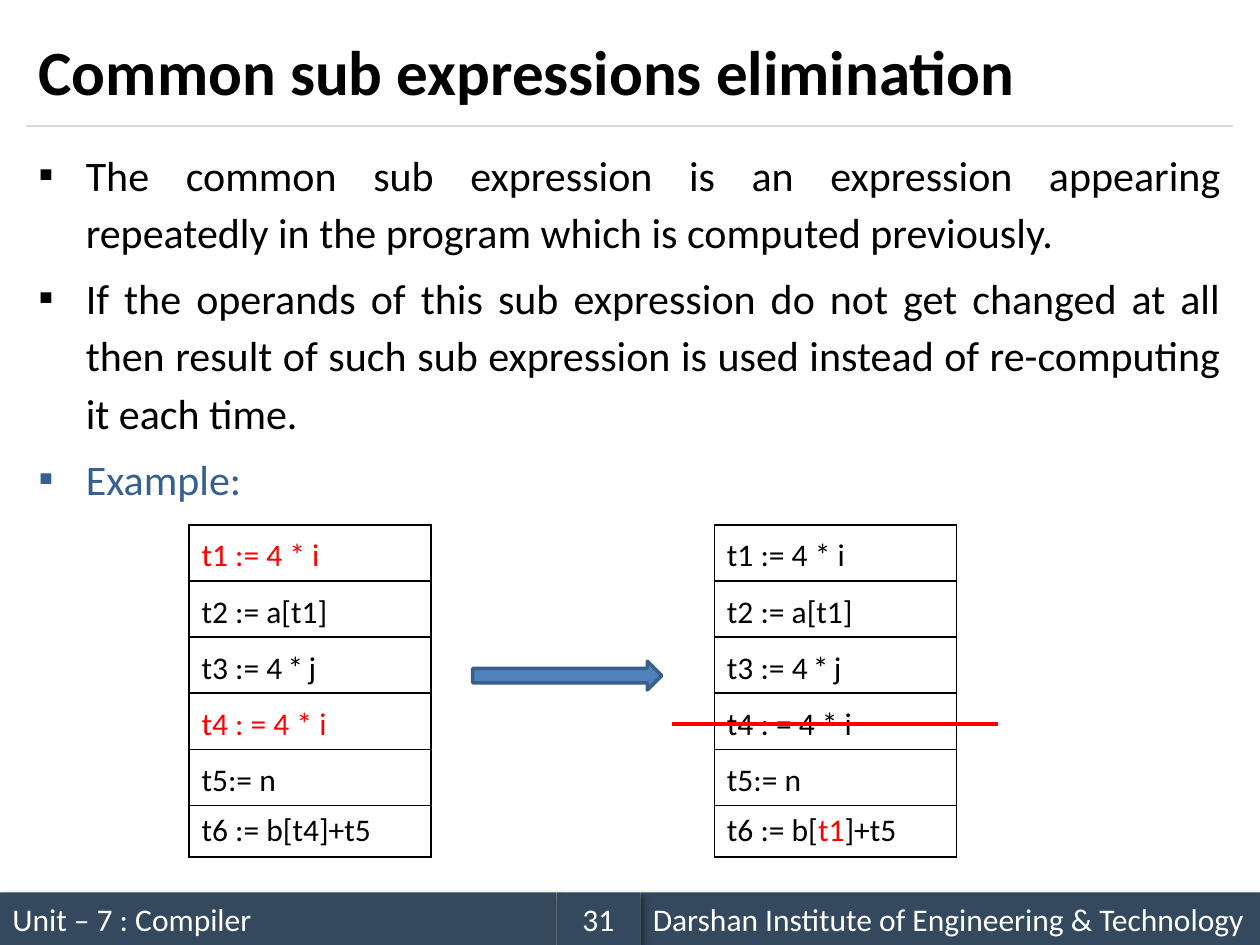
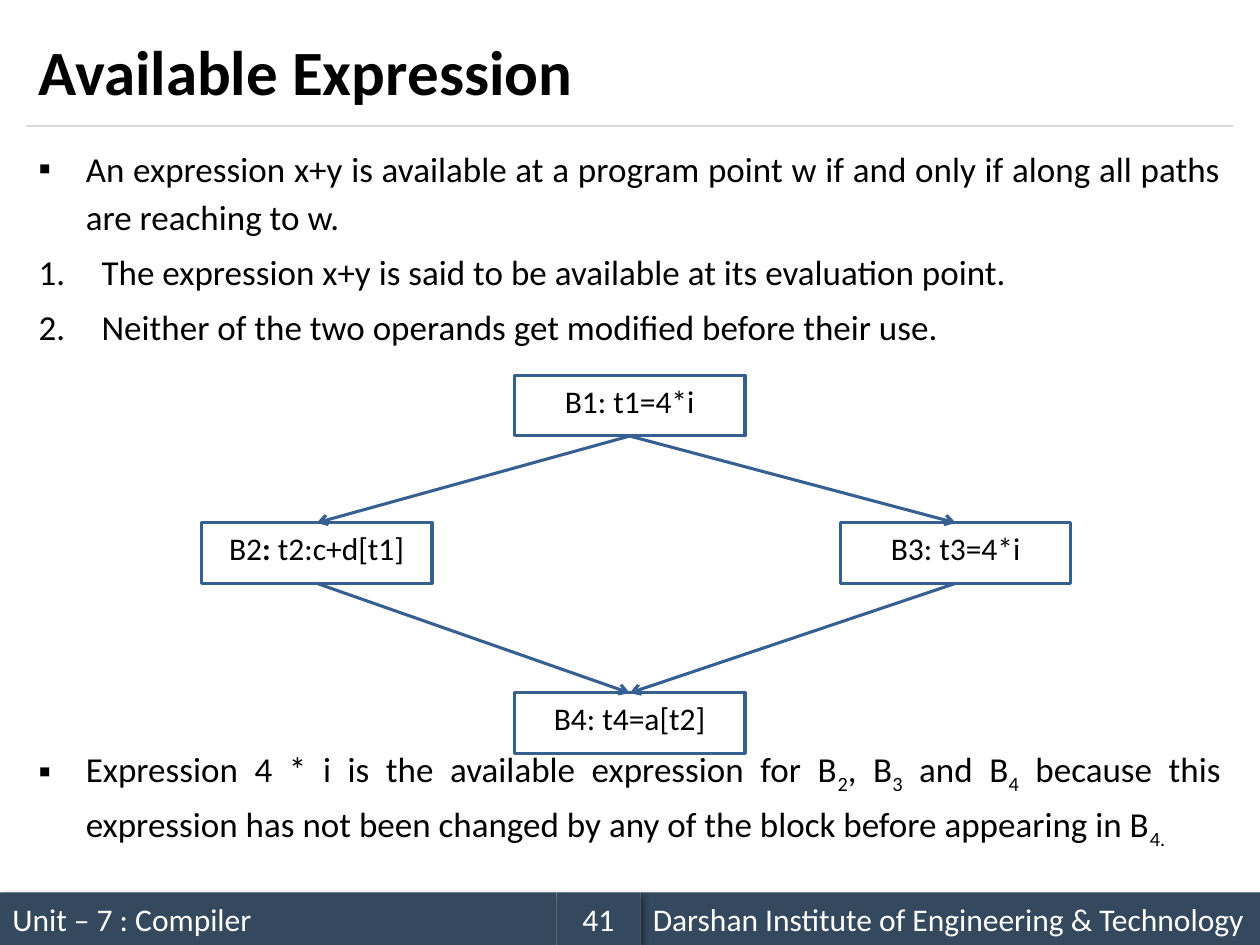
from dataclasses import dataclass

from lxml.etree import SubElement as Sub
from pptx import Presentation
from pptx.dml.color import RGBColor as Rgb
from pptx.enum.shapes import MSO_CONNECTOR as Link, MSO_SHAPE as Form
from pptx.enum.text import MSO_ANCHOR as Anchor, PP_ALIGN as Align
from pptx.oxml.ns import qn
from pptx.util import Cm, Pt


@dataclass(frozen=True)
class Theme:
    face: str = "Calibri"
    ink: str = "000000"
    white: str = "FFFFFF"
    band: str = "34495E"
    rule: str = "D9D9D9"
    blue: str = "376092"
    fill: str = "4F81BD"
    edge: str = "3A5F8C"
    red: str = "FF0000"
    head: int = 36
    large: int = 24
    mid: int = 20
    small: int = 18
    lead: float = 1.14


T = Theme()
LEFT, WIDE = 0.53, 24.33
BOX_W, BOX_H = 4.65, 1.22


def area(x, y, w, h):
    return [Cm(n) for n in (x, y, w, h)]


def mark(run, kind):
    props = run._r.get_or_add_rPr()
    if kind == "sub":
        props.set("baseline", "-25000")
    elif kind == "wide":
        props.set("spc", "300")
    elif kind == "bold":
        run.font.bold = True
    elif kind == "red":
        run.font.color.rgb = Rgb.from_string(T.red)


def write(para, text, size, color=T.ink, align=Align.LEFT, bold=False):
    parts = [(text, "")] if isinstance(text, str) else text
    para.alignment = align
    para.text = parts[0][0]
    for words, _ in parts[1:]:
        para.add_run().text = words
    for run, (_, kind) in zip(para.runs, parts):
        font = run.font
        font.name, font.size, font.bold = T.face, Pt(size), bold
        font.color.rgb = Rgb.from_string(color)
        mark(run, kind)


def add_text(slide, place, anchor=Anchor.TOP):
    frame = slide.shapes.add_textbox(*area(*place)).text_frame
    frame.word_wrap = True
    frame.vertical_anchor = anchor
    return frame


def bullet(para, kind):
    props = para._p.get_or_add_pPr()
    dent = Cm(1.27 if kind == "num" else 0.95)
    props.set("marL", str(dent))
    props.set("indent", str(-dent))
    if kind == "num":
        Sub(props, qn("a:buFont"), typeface=T.face)
        Sub(props, qn("a:buAutoNum"), type="arabicPeriod")
    else:
        Sub(props, qn("a:buFont"), typeface=T.face)
        Sub(props, qn("a:buChar"), char="▪")


def add_list(slide, top, height, size, items):
    frame = add_text(slide, (LEFT, top, WIDE, height))
    for i, (kind, text, color) in enumerate(items):
        para = frame.add_paragraph() if i else frame.paragraphs[0]
        bullet(para, kind)
        write(para, text, size, color, Align.JUSTIFY)
        para.line_spacing = T.lead
        if i:
            para.space_before = Pt(size * 0.2)


def add_form(slide, form, place, fill, edge=None, thick=1.75):
    shape = slide.shapes.add_shape(form, *area(*place))
    shape.shadow.inherit = False
    shape.fill.solid()
    shape.fill.fore_color.rgb = Rgb.from_string(fill)
    if edge:
        shape.line.color.rgb = Rgb.from_string(edge)
        shape.line.width = Pt(thick)
    else:
        shape.line.fill.background()
    return shape


def add_line(slide, start, end, color, thick):
    line = slide.shapes.add_connector(
        Link.STRAIGHT, *[Cm(n) for n in (*start, *end)])
    line.line.color.rgb = Rgb.from_string(color)
    line.line.width = Pt(thick)
    Sub(line._element.spPr, qn("a:effectLst"))
    return line


def add_arrow(slide, source, goal):
    line = add_line(slide, (0, 0), (1, 1), T.blue, 1.75)
    line.begin_connect(source, 2)
    line.end_connect(goal, 0)
    Sub(line.line._get_or_add_ln(), qn("a:tailEnd"), type="arrow")


def add_node(slide, x, y, text):
    node = add_form(slide, Form.RECTANGLE, (x, y, BOX_W, BOX_H),
                    T.white, T.blue)
    frame = node.text_frame
    frame.vertical_anchor = Anchor.TOP
    write(frame.paragraphs[0], text, T.small, align=Align.CENTER)
    return node


def add_band(slide, x, width, text, align=Align.LEFT):
    band = add_form(slide, Form.RECTANGLE, (x, 17.99, width, 1.06), T.band)
    glow = Sub(band._element.spPr.find(qn("a:effectLst")),
               qn("a:outerShdw"), blurRad=str(Pt(4)), dist=str(Pt(3)),
               dir="2700000", algn="tl", rotWithShape="0")
    tint = Sub(glow, qn("a:srgbClr"), val=T.ink)
    Sub(tint, qn("a:alpha"), val="40000")
    frame = band.text_frame
    frame.vertical_anchor = Anchor.MIDDLE
    write(frame.paragraphs[0], text, T.small, T.white, align)


def add_slide(deck, title, number):
    slide = deck.slides.add_slide(deck.slide_layouts[6])
    add_band(slide, 0, 11.22, "Unit – 7 : Compiler")
    add_line(slide, (LEFT, 2.54), (LEFT + WIDE, 2.54), T.rule, 0.75)
    add_band(slide, 12.91, 12.49,
             "Darshan Institute of Engineering & Technology")
    add_band(slide, 11.22, 1.69, str(number), Align.CENTER)
    frame = add_text(slide, (LEFT, 0.3, WIDE, 2.24), Anchor.MIDDLE)
    write(frame.paragraphs[0], title, T.head, bold=True)
    return slide


def frame_cell(cell):
    props = cell._tc.get_or_add_tcPr()
    for side in ("lnL", "lnR", "lnT", "lnB"):
        line = Sub(props, qn(f"a:{side}"), w=str(Pt(1)))
        Sub(Sub(line, qn("a:solidFill")), qn("a:srgbClr"), val=T.ink)
    cell.fill.background()


def add_code(slide, x, rows):
    row_h = 1.04
    place = area(x, 10.58, 4.88, row_h * len(rows))
    table = slide.shapes.add_table(len(rows), 1, *place).table
    table.first_row = table.horz_banding = False
    for i, text in enumerate(rows):
        table.rows[i].height = Cm(row_h)
        cell = table.cell(i, 0)
        frame_cell(cell)
        para = cell.text_frame.paragraphs[0]
        last = i == len(rows) - 1
        write(para, text, T.small, align=Align.LEFT if last else Align.JUSTIFY)
        if not last:
            para.line_spacing = 1.15
            para.space_after = Pt(10)


def draw_common(deck):
    slide = add_slide(deck, "Common sub expressions elimination", 31)
    add_list(slide, 2.74, 14.81, T.large, [
        ("dot", "The common sub expression is an expression appearing "
         "repeatedly in the program which is computed previously.", T.ink),
        ("dot", "If the operands of this sub expression do not get changed "
         "at all then result of such sub expression is used instead of "
         "re-computing it each time.", T.ink),
        ("dot", "Example:", T.blue),
    ])
    first, fourth = "t1 := 4 * i", "t4 : = 4 * i"
    second, fifth = "t2 := a[t1]", "t5:= n"
    third = [("t3 := ", ""), ("4*j", "wide")]
    add_code(slide, 3.81, [
        [(first, "red")], second, third, [(fourth, "red")], fifth,
        "t6 := b[t4]+t5"])
    add_code(slide, 14.4, [
        first, second, third, fourth, fifth,
        [("t6 := b[", ""), ("t1", "red"), ("]+t5", "")]])
    add_line(slide, (13.55, 14.6), (20.11, 14.6), T.red, 2)
    add_form(slide, Form.RIGHT_ARROW, (9.53, 13.33, 3.81, 0.58),
             T.fill, T.edge, 2)


def draw_avail(deck):
    slide = add_slide(deck, "Available Expression", 41)
    add_list(slide, 2.74, 4.6, T.mid, [
        ("dot", "An expression x+y is available at a program point w if and "
         "only if along all paths are reaching to w.", T.ink),
        ("num", "The expression x+y is said to be available at its "
         "evaluation point.", T.ink),
        ("num", "Neither of the two operands get modified before their use.",
         T.ink),
    ])
    add_list(slide, 14.82, 2.73, T.mid, [
        ("dot", [
            ("Expression 4 * i is the available expression for B", ""),
            ("2", "sub"), (", B", ""), ("3", "sub"), (" and B", ""),
            ("4", "sub"),
            (" because this expression has not been changed by any of the "
             "block before appearing in B", ""),
            ("4.", "sub")], T.ink),
    ])
    top = add_node(slide, 10.37, 7.57, "B1: t1=4*i")
    left = add_node(slide, 4.06, 10.54,
                    [("B2", ""), (":", "bold"), (" t2:c+d[t1]", "")])
    right = add_node(slide, 16.94, 10.54, "B3: t3=4*i")
    base = add_node(slide, 10.37, 13.97, "B4: t4=a[t2]")
    for source, goal in ((top, left), (top, right),
                         (left, base), (right, base)):
        add_arrow(slide, source, goal)


def main():
    deck = Presentation()
    deck.slide_width, deck.slide_height = Cm(25.4), Cm(19.05)
    draw_common(deck)
    draw_avail(deck)
    deck.save("out.pptx")


if __name__ == "__main__":
    main()
